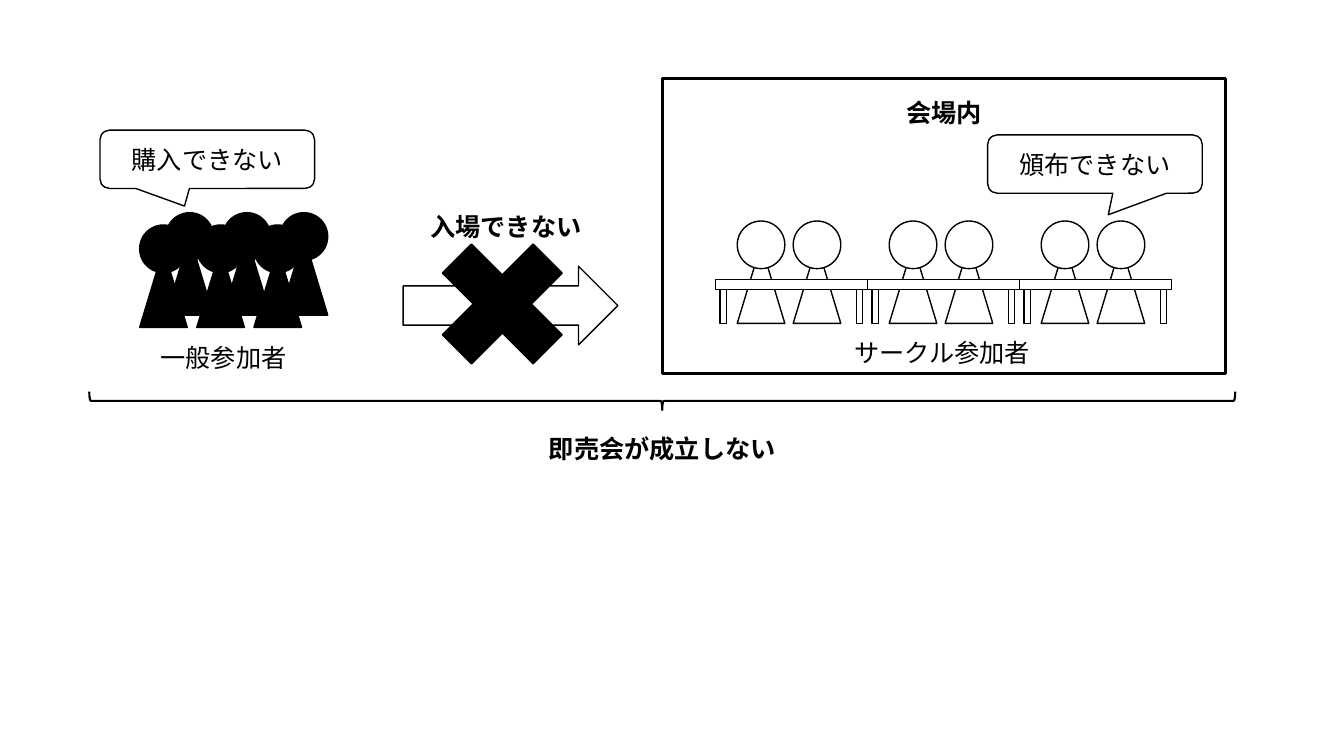
from lxml import etree
from pptx import Presentation
from pptx.dml.color import RGBColor
from pptx.enum.shapes import MSO_SHAPE
from pptx.enum.text import MSO_ANCHOR, MSO_AUTO_SIZE, PP_ALIGN
from pptx.oxml.ns import qn
from pptx.util import Cm, Pt

RECTANGLE = MSO_SHAPE.RECTANGLE
TRIANGLE = MSO_SHAPE.ISOSCELES_TRIANGLE
OVAL = MSO_SHAPE.OVAL
ARROW = MSO_SHAPE.RIGHT_ARROW
CROSS = MSO_SHAPE.MATH_MULTIPLY
CALLOUT = MSO_SHAPE.ROUNDED_RECTANGULAR_CALLOUT
BRACE = MSO_SHAPE.LEFT_BRACE
TOP = MSO_ANCHOR.TOP
MIDDLE = MSO_ANCHOR.MIDDLE
GROW = MSO_AUTO_SIZE.SHAPE_TO_FIT_TEXT
CENTER = PP_ALIGN.CENTER

FONT = "Noto Sans CJK JP"
BLACK = "000000"
WHITE = "FFFFFF"


def color(value):
    """Return the colour for a hex string."""
    return RGBColor.from_string(value)


def set_format(target, values):
    """Set every attribute named in a dict of format values."""
    for name, value in values.items():
        setattr(target, name, value)


def write_text(shape, text, bold=False, **frame_values):
    """Write one centred line of text into a shape."""
    frame = shape.text_frame
    set_format(frame, {"word_wrap": True, **frame_values})
    paragraph = frame.paragraphs[0]
    paragraph.alignment = CENTER
    run = paragraph.add_run()
    run.text = text
    set_format(run.font, {"name": FONT, "size": Pt(18), "bold": bold})
    run.font.color.rgb = color(BLACK)
    east_asian = etree.SubElement(run.font._element, qn("a:ea"))
    east_asian.set("typeface", FONT)


def add_shape(shapes, kind, box, fill=WHITE, line_width=1):
    """Add a black-outlined shape in a box given in centimetres."""
    shape = shapes.add_shape(kind, *(Cm(length) for length in box))
    shape.shadow.inherit = False
    if fill:
        shape.fill.solid()
        shape.fill.fore_color.rgb = color(fill)
    else:
        shape.fill.background()
    shape.line.color.rgb = color(BLACK)
    shape.line.width = Pt(line_width)
    return shape


def add_label(slide, box, text, bold=False):
    """Add a centred caption."""
    label = slide.shapes.add_textbox(*(Cm(length) for length in box))
    write_text(label, text, bold, auto_size=GROW)


def add_callout(slide, box, text, pointer):
    """Add a speech bubble whose tip lies at the pointer offsets."""
    callout = add_shape(slide.shapes, CALLOUT, box)
    for index, value in enumerate(pointer):
        callout.adjustments[index] = value
    write_text(callout, text, vertical_anchor=MIDDLE)


def add_person(slide, left, top, fill):
    """Add a figure made of a triangular body and a round head."""
    shapes = slide.shapes.add_group_shape().shapes
    add_shape(shapes, TRIANGLE, (left, top + 0.6, 1.2, 1.98), fill)
    add_shape(shapes, OVAL, (left, top, 1.2, 1.2), fill)


def add_table_desk(slide, left, top, width):
    """Add a desk with two legs under its board."""
    shapes = slide.shapes.add_group_shape().shapes
    for leg_left in (left + 0.12, left + width - 0.28):
        add_shape(shapes, RECTANGLE, (leg_left, top + 0.2, 0.16, 0.91))
    add_shape(shapes, RECTANGLE, (left, top, width, 0.25))


def draw_venue(slide, left, top, width, height):
    """Draw the venue with three desks, each with two sellers."""
    venue = add_shape(slide.shapes, RECTANGLE, (left, top, width, height), WHITE, 2.25)
    write_text(venue, "会場内", True, vertical_anchor=TOP, margin_top=Cm(0.47))
    desk_width = 3.83
    for index in reversed(range(3)):
        desk_left = left + 1.34 + index * desk_width
        for offset in (1.96, 0.55):
            add_person(slide, desk_left + offset, top + 3.59, WHITE)
        add_table_desk(slide, desk_left, top + 5.06, desk_width)
    add_label(slide, (left + 4.47, top + 6.4, 5.18, 1.02), "サークル参加者")
    add_callout(slide, (left + 8.2, top + 1.42, 5.41, 1.47), "頒布できない",
                (0.062, 0.869, 0.167))


def draw_visitors(slide, left, top):
    """Draw two staggered rows of visitors and their speech bubble."""
    for row_left, row_top in ((left + 1.66, top + 2.08), (left + 1.0, top + 2.39)):
        for index in reversed(range(3)):
            add_person(slide, row_left + index * 1.44, row_top, BLACK)
    add_label(slide, (left + 1.17, top + 5.23, 3.89, 1.02), "一般参加者")
    add_callout(slide, (left, top, 5.41, 1.47), "購入できない", (-0.106, 0.802, 0.167))


def draw_blocked_entry(slide, left, top):
    """Draw the crossed-out arrow with its caption."""
    add_shape(slide.shapes, ARROW, (left, top + 1.5, 5.41, 1.98))
    add_shape(slide.shapes, CROSS, (left + 0.3, top + 0.25, 4.4, 4.4), BLACK)
    add_label(slide, (left + 0.23, top, 4.72, 1.02), "入場できない", True)


def draw_conclusion(slide, left, top, width):
    """Draw the brace that spans the scene and the conclusion below it."""
    depth = 0.46
    center = left + width / 2
    brace_box = (center - depth / 2, top + (depth - width) / 2, depth, width)
    brace = add_shape(slide.shapes, BRACE, brace_box, None, 1.5)
    brace.rotation = 270
    add_label(slide, (center - 3.45, top + 0.92, 6.9, 1.02), "即売会が成立しない", True)


def main():
    """Build and save the slide."""
    presentation = Presentation()
    set_format(presentation, {"slide_width": Cm(33.87), "slide_height": Cm(19.05)})
    slide = presentation.slides.add_slide(presentation.slide_layouts[6])
    draw_venue(slide, 16.69, 1.98, 14.2, 7.44)
    draw_visitors(slide, 2.52, 3.28)
    draw_blocked_entry(slide, 10.16, 5.21)
    draw_conclusion(slide, 2.25, 9.87, 28.88)
    presentation.save("out.pptx")


if __name__ == "__main__":
    main()
